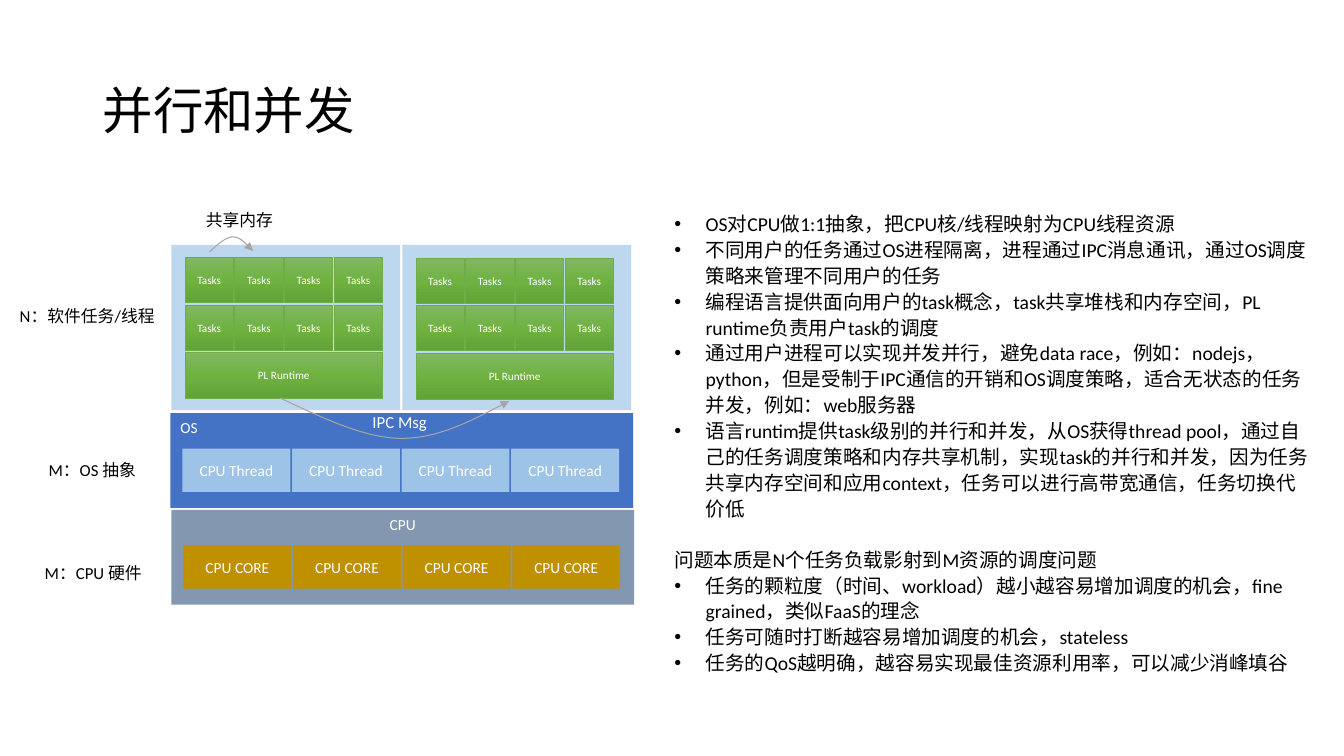
from copy import deepcopy

from lxml import etree
from pptx import Presentation
from pptx.dml.color import RGBColor
from pptx.enum.shapes import MSO_SHAPE
from pptx.enum.text import MSO_ANCHOR, PP_ALIGN
from pptx.oxml.ns import qn
from pptx.util import Inches, Pt

RECTANGLE = MSO_SHAPE.RECTANGLE
TOP, MIDDLE = MSO_ANCHOR.TOP, MSO_ANCHOR.MIDDLE
LEFT, CENTER = PP_ALIGN.LEFT, PP_ALIGN.CENTER
BLACK, WHITE = "000000", "FFFFFF"
GREEN_STOPS = [(0, "81B861"), (0.5, "6FB242"), (1, "62A336")]

ABSTRACTION_POINTS = [
    "OS对CPU做1:1抽象，把CPU核/线程映射为CPU线程资源",
    "不同用户的任务通过OS进程隔离，进程通过IPC消息通讯，通过OS调度策略来管理不同用户的任务",
    "编程语言提供面向用户的task概念，task共享堆栈和内存空间，PL runtime负责用户task的调度",
    "通过用户进程可以实现并发并行，避免data race，例如：nodejs，python，但是受制于IPC通信的开销和OS调度策略，"
    "适合无状态的任务并发，例如：web服务器",
    "语言runtim提供task级别的并行和并发，从OS获得thread pool，通过自己的任务调度策略和内存共享机制，"
    "实现task的并行和并发，因为任务共享内存空间和应用context，任务可以进行高带宽通信，任务切换代价低",
]
SCHEDULING_HEADING = "问题本质是N个任务负载影射到M资源的调度问题"
SCHEDULING_POINTS = [
    "任务的颗粒度（时间、workload）越小越容易增加调度的机会，fine grained，类似FaaS的理念",
    "任务可随时打断越容易增加调度的机会，stateless",
    "任务的QoS越明确，越容易实现最佳资源利用率，可以减少消峰填谷",
]


def rgb(color):
    return RGBColor.from_string(color)


def style_paragraph(paragraph, size, color, align=LEFT):
    paragraph.alignment = align
    paragraph.font.name = "Calibri"
    paragraph.font.size = Pt(size)
    paragraph.font.color.rgb = rgb(color)


def add_box(slide, left, top, width, height, color=None, text="", size=11, anchor=MIDDLE, align=CENTER):
    box = slide.shapes.add_shape(RECTANGLE, Inches(left), Inches(top), Inches(width), Inches(height))
    box.shadow.inherit = False
    box.line.fill.background()
    if color:
        box.fill.solid()
        box.fill.fore_color.rgb = rgb(color)
    if text:
        frame = box.text_frame
        frame.vertical_anchor = anchor
        frame.text = text
        style_paragraph(frame.paragraphs[0], size, WHITE, align)
    return box


def add_green_box(slide, left, top, width, text):
    box = add_box(slide, left, top, width, 0.45, text=text, size=8)
    box.fill.gradient()
    box.fill.gradient_angle = 270
    first_stop = box._element.spPr.find(".//" + qn("a:gs"))
    first_stop.addnext(deepcopy(first_stop))
    for stop, (position, color) in zip(box.fill.gradient_stops, GREEN_STOPS):
        stop.position = position
        stop.color.rgb = rgb(color)
    box.line.color.rgb = rgb("70AD47")
    box.line.width = Pt(0.5)


def add_text(slide, left, top, width, height, text, size=12, color=BLACK, align=CENTER):
    box = slide.shapes.add_textbox(Inches(left), Inches(top), Inches(width), Inches(height))
    frame = box.text_frame
    frame.word_wrap = True
    frame.text = text
    style_paragraph(frame.paragraphs[0], size, color, align)
    return frame


def add_curved_arrow(slide, start, *points):
    builder = slide.shapes.build_freeform(Inches(start[0]), Inches(start[1]))
    builder.add_line_segments([(Inches(x), Inches(y)) for x, y in points], close=False)
    arrow = builder.convert_to_shape()
    arrow.shadow.inherit = False
    arrow.fill.background()
    arrow.line.color.rgb = rgb("A5A5A5")
    arrow.line.width = Pt(0.75)
    segments = arrow._element.xpath(".//a:lnTo")
    for index in range(0, len(segments), 3):
        curve = etree.Element(qn("a:cubicBezTo"))
        segments[index].addprevious(curve)
        for segment in segments[index:index + 3]:
            curve.append(segment[0])
            segment.getparent().remove(segment)
    etree.SubElement(arrow.line._get_or_add_ln(), qn("a:tailEnd"), type="triangle")


def add_process(slide, left, offset):
    add_box(slide, left, 2.43, 2.27, 1.64, "BDD7EE")
    inner_left = left + 0.135
    add_green_box(slide, inner_left, 3.5 + offset, 1.96, "PL Runtime")
    for top in (3.03, 2.55 + offset):
        for column in range(4):
            add_green_box(slide, inner_left + 0.493 * column, top, 0.48, "Tasks")


def add_layer(slide, left, top, color, title, align, unit_color, unit_text):
    add_box(slide, left, top, 4.59, 0.94, color, title, anchor=TOP, align=align)
    for column in range(4):
        add_box(slide, left + 0.12 + 1.087 * column, top + 0.35, 1.07, 0.43, unit_color, unit_text)


def add_bullet(paragraph):
    properties = paragraph._p.get_or_add_pPr()
    properties.set("marL", str(Inches(0.31)))
    properties.set("indent", str(-Inches(0.31)))
    bullet_font = etree.Element(qn("a:buFont"), typeface="Arial")
    bullet = etree.Element(qn("a:buChar"), char="•")
    properties.find(qn("a:defRPr")).addprevious(bullet_font)
    bullet_font.addnext(bullet)


def add_notes_column(slide):
    lines = ABSTRACTION_POINTS + [SCHEDULING_HEADING] + SCHEDULING_POINTS
    frame = add_text(slide, 6.59, 2.03, 6.52, 4.75, "\n".join(lines))
    for paragraph in frame.paragraphs:
        style_paragraph(paragraph, 14, BLACK)
        paragraph.line_spacing = 1.1
        if paragraph.text == SCHEDULING_HEADING:
            paragraph.space_before = Pt(18)
        else:
            add_bullet(paragraph)


def main():
    presentation = Presentation()
    presentation.slide_width = Inches(13.33)
    presentation.slide_height = Inches(7.5)
    slide = presentation.slides.add_slide(presentation.slide_layouts[6])

    title = add_text(slide, 0.92, 0.4, 11.5, 1.45, "并行和并发", 36, align=LEFT)
    title.vertical_anchor = MIDDLE
    title.paragraphs[0].line_spacing = 0.9

    add_layer(slide, 1.69, 4.1, "4472C4", "OS", LEFT, "9DC3E6", "CPU Thread")
    add_layer(slide, 1.7, 5.06, "8497B0", "CPU", CENTER, "BF9000", "CPU CORE")
    add_process(slide, 1.7, 0)
    add_process(slide, 3.99, 0.01)

    add_notes_column(slide)
    add_text(slide, 0.06, 5.53, 1.73, 0.3, "M：CPU 硬件")
    add_text(slide, 0.05, 4.51, 1.73, 0.3, "M：OS 抽象")
    add_text(slide, 0, 2.98, 1.73, 0.3, "N：软件任务/线程")

    add_curved_arrow(slide, (2.08, 2.5), (2.15, 2.43), (2.23, 2.36), (2.3, 2.35),
                     (2.38, 2.35), (2.44, 2.42), (2.51, 2.49))
    add_curved_arrow(slide, (2.78, 3.95), (3.19, 4.14), (3.59, 4.34), (3.97, 4.35),
                     (4.35, 4.35), (4.7, 4.16), (5.05, 3.98))
    add_text(slide, 1.69, 2.03, 1.37, 0.3, "共享内存")
    add_text(slide, 3.28, 4.04, 1.37, 0.3, "IPC Msg", color=WHITE)

    presentation.save("out.pptx")


if __name__ == "__main__":
    main()
